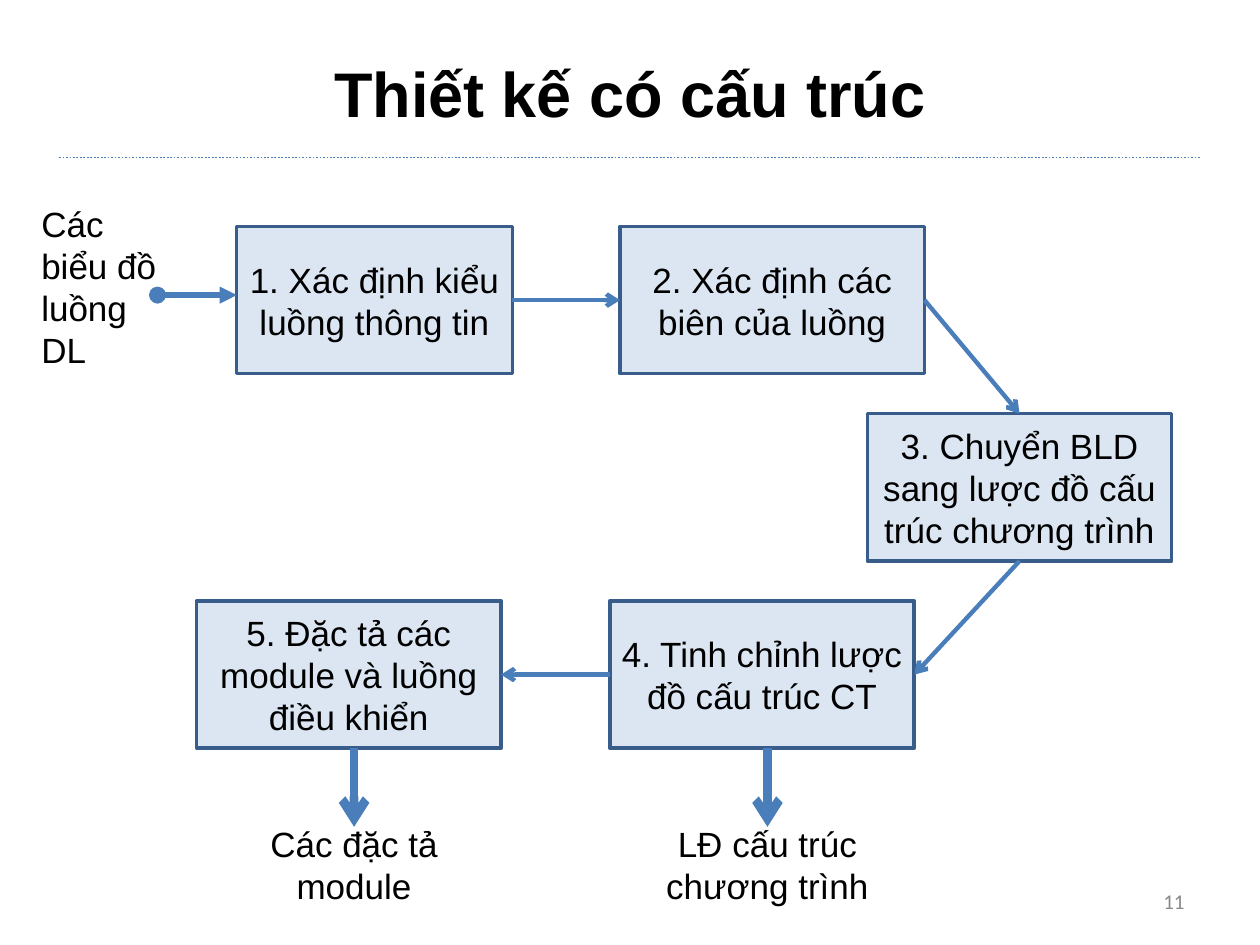
from dataclasses import dataclass

from lxml import etree
from pptx import Presentation
from pptx.dml.color import RGBColor
from pptx.enum import dml, shapes, text
from pptx.oxml import ns
from pptx.util import Pt


@dataclass(frozen=True)
class Theme:
    """Colours, fonts and sizes of the slide."""
    ink: str = "000000"
    muted: str = "898989"
    step_fill: str = "DCE6F2"
    step_line: str = "385D8A"
    arrow: str = "4A7EBB"
    font: str = "Arial"
    number_font: str = "Calibri"
    title_size: float = 36
    body_size: float = 20
    number_size: float = 12


THEME = Theme()
TOP, LEFT, BOTTOM, RIGHT = range(4)


def write(frame, words, size=THEME.body_size, font=THEME.font, color=THEME.ink,
          bold=False, align=text.PP_ALIGN.CENTER, anchor=text.MSO_ANCHOR.MIDDLE,
          margins=(7.2, 3.6), grow=False):
    """Put formatted words into a text frame."""
    frame.word_wrap = True
    frame.vertical_anchor = anchor
    frame.auto_size = (text.MSO_AUTO_SIZE.SHAPE_TO_FIT_TEXT if grow
                       else text.MSO_AUTO_SIZE.NONE)
    frame.margin_left = frame.margin_right = Pt(margins[0])
    frame.margin_top = frame.margin_bottom = Pt(margins[1])
    paragraph = frame.paragraphs[0]
    paragraph.alignment = align
    run = paragraph.add_run()
    run.text = words
    run.font.size = Pt(size)
    run.font.name = font
    run.font.bold = bold
    run.font.color.rgb = RGBColor.from_string(color)


def add_line(slide, start, end, width, dash=None, head=None, tail=None):
    """Draw a straight connector between two points."""
    line = slide.shapes.add_connector(
        shapes.MSO_CONNECTOR.STRAIGHT, *map(Pt, (*start, *end)))
    line.line.color.rgb = RGBColor.from_string(THEME.arrow)
    line.line.width = Pt(width)
    if dash is not None:
        line.line.dash_style = dash
    properties = line.element.spPr
    for tag, kind in (("a:headEnd", head), ("a:tailEnd", tail)):
        if kind:
            etree.SubElement(properties.get_or_add_ln(), ns.qn(tag), type=kind)
    etree.SubElement(properties, ns.qn("a:effectLst"))
    return line


def add_label(slide, box, words, **style):
    """Place a text box with formatted words."""
    label = slide.shapes.add_textbox(*map(Pt, box))
    write(label.text_frame, words, **style)


def add_step(slide, box, words, inset):
    """Place one framed step of the process."""
    step = slide.shapes.add_shape(shapes.MSO_SHAPE.RECTANGLE, *map(Pt, box))
    step.shadow.inherit = False
    step.fill.solid()
    step.fill.fore_color.rgb = RGBColor.from_string(THEME.step_fill)
    step.line.color.rgb = RGBColor.from_string(THEME.step_line)
    step.line.width = Pt(2)
    write(step.text_frame, words, margins=(inset, 0))
    return step


def add_heading(slide, box, words):
    """Place the title and the dotted rule below it."""
    left, top, width, height = box
    title = slide.shapes.title
    title.left, title.top, title.width, title.height = map(Pt, box)
    write(title.text_frame, words, size=THEME.title_size, bold=True)
    rule = top + height + 6
    add_line(slide, (left - 2.2, rule), (left + width + 2.2, rule), 1,
             dash=dml.MSO_LINE.ROUND_DOT)


def add_process(slide, box):
    """Place the five steps and join them in order."""
    left, top, width, height = box
    step_width, step_height = 174, 84.2
    pitch = (height - step_height) / 2
    plan = (
        ("1. Xác định kiểu luồng thông tin", 23, 0, 157.5, 0),
        ("2. Xác định các biên của luồng", 242, 0, step_width, 5.8),
        ("3. Chuyển BLD sang lược đồ cấu trúc chương trình",
         width - step_width, 1, step_width, 5.8),
        ("4. Tinh chỉnh lược đồ cấu trúc CT", 236.2, 2, step_width, 2.9),
        ("5. Đặc tả các module và luồng điều khiển", 0, 2, step_width, 2.9),
    )
    steps = [add_step(slide, (left + x, top + row * pitch, w, step_height), words, inset)
             for words, x, row, w, inset in plan]
    sides = ((RIGHT, LEFT), (RIGHT, TOP), (BOTTOM, RIGHT), (LEFT, RIGHT))
    for source, target, (leave, enter) in zip(steps, steps[1:], sides):
        arrow = add_line(slide, (left, top), (left, top), 2.5, tail="arrow")
        arrow.begin_connect(source, leave)
        arrow.end_connect(target, enter)


def add_input(slide, box, words, target):
    """Place the input label and its arrow to the first step."""
    left, top, width, height = box
    middle = top + height / 2 + 4.5
    add_line(slide, (left + width - 16.5, middle), (target, middle), 3.25,
             head="oval", tail="triangle")
    add_label(slide, box, words, align=text.PP_ALIGN.LEFT,
              anchor=text.MSO_ANCHOR.TOP, grow=True)


def add_output(slide, box, words, source):
    """Place an output label and the arrow that leads down to it."""
    left, top, width, _ = box
    center = left + width / 2
    add_line(slide, (center, source), (center, top + 6), 5, tail="arrow")
    add_label(slide, box, words, anchor=text.MSO_ANCHOR.TOP, grow=True)


def main():
    """Build the slide and save it."""
    deck = Presentation()
    deck.slide_width, deck.slide_height = Pt(720), Pt(540)
    slide = deck.slides.add_slide(deck.slide_layouts[5])
    add_heading(slide, (36, 21.6, 648, 62.4), "Thiết kế có cấu trúc")
    add_process(slide, (112.3, 129.4, 557.3, 298.2))
    add_input(slide, (16.5, 112.3, 90, 103.7), "Các biểu đồ luồng DL", 135.3)
    for left, words in ((354.3, "LĐ cấu trúc chương trình"),
                        (118.1, "Các đặc tả module")):
        add_output(slide, (left, 466.5, 168.5, 55.4), words, 427.6)
    add_label(slide, (516, 500.5, 168, 28.8), "11", size=THEME.number_size,
              font=THEME.number_font, color=THEME.muted, align=text.PP_ALIGN.RIGHT)
    deck.save("out.pptx")


if __name__ == "__main__":
    main()
